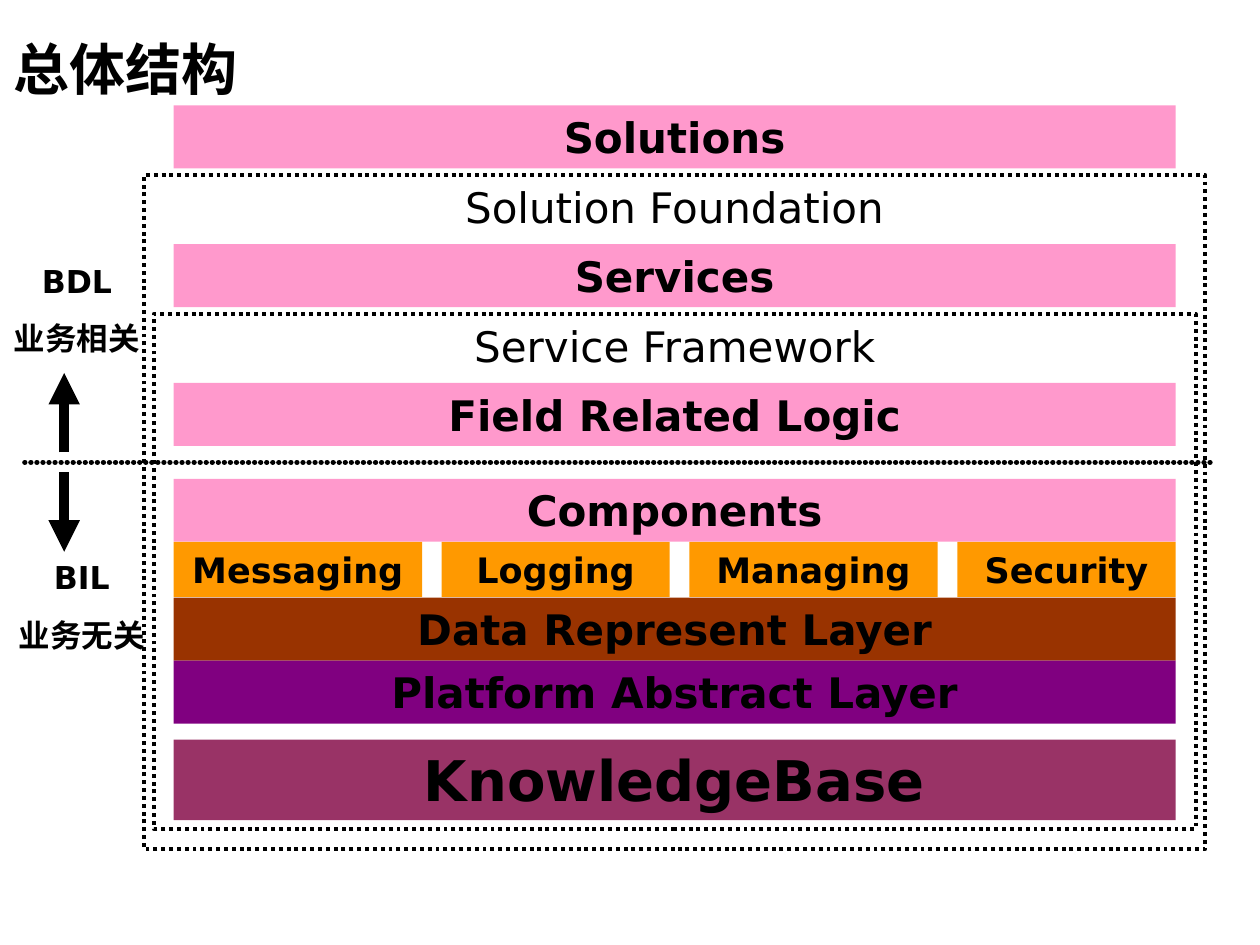
import pptx
import pptx.dml.color
import pptx.enum.dml
import pptx.enum.shapes
import pptx.enum.text
import pptx.oxml
import pptx.oxml.ns
import pptx.util

Pt = pptx.util.Pt
ALIGN = pptx.enum.text.PP_ALIGN
ANCHOR = pptx.enum.text.MSO_ANCHOR
RECTANGLE = pptx.enum.shapes.MSO_SHAPE.RECTANGLE
STRAIGHT = pptx.enum.shapes.MSO_CONNECTOR.STRAIGHT

BLACK, PINK, ORANGE = "000000", "FF99CC", "FF9900"
BODY_FONT = "DejaVu Sans"

# text, top, height, fill, size
LAYERS = [
    ("Solutions", 60.2, 36, PINK, 24),
    ("Services", 139.5, 36, PINK, 24),
    ("Field Related Logic", 218.8, 36, PINK, 24),
    ("Components", 273.6, 36, PINK, 24),
    ("Data Represent Layer", 341.5, 36, "993300", 24),
    ("Platform Abstract Layer", 377.5, 36, "800080", 24),
    ("KnowledgeBase", 422.7, 46, "993366", 32),
]
COMPONENTS = [("Messaging", 142), ("Logging", 130.4), ("Managing", 142), ("Security", 124.8)]


def rgb(value):
    return pptx.dml.color.RGBColor.from_string(value)


def add_xml(parent, fragment):
    """Append an element written without its DrawingML namespace."""
    tag, rest = fragment[1:].replace("/>", " />", 1).split(" ", 1)
    declaration = pptx.oxml.ns.nsdecls("a")
    parent.append(pptx.oxml.parse_xml(f"<{tag} {declaration} {rest}"))


def write(text_frame, lines, size, bold=True, font=BODY_FONT, align=ALIGN.CENTER, space=0):
    for index, line in enumerate(lines):
        paragraph = text_frame.paragraphs[0] if index == 0 else text_frame.add_paragraph()
        paragraph.text = line
        paragraph.alignment = align
        paragraph.space_before = Pt(space if index else 0)
        for name, value in {"name": font, "size": Pt(size), "bold": bold}.items():
            setattr(paragraph.font, name, value)
        paragraph.font.color.rgb = rgb(BLACK)


def add_title(slide, left, top, width, height):
    title = slide.shapes.title
    box = {"left": left, "top": top, "width": width, "height": height}
    for name, value in box.items():
        setattr(title, name, Pt(value))
    title.text_frame.vertical_anchor = ANCHOR.MIDDLE
    write(title.text_frame, ["总体结构"], 32, font="Times New Roman", align=ALIGN.LEFT)


def add_rectangle(slide, left, top, width, height):
    shape = slide.shapes.add_shape(RECTANGLE, Pt(left), Pt(top), Pt(width), Pt(height))
    shape.shadow.inherit = False
    shape.text_frame.vertical_anchor = ANCHOR.TOP
    return shape


def add_frame(slide, text, left, top, width, height):
    shape = add_rectangle(slide, left, top, width, height)
    shape.fill.background()
    shape.line.color.rgb = rgb(BLACK)
    shape.line.width = Pt(2.25)
    shape.line.dash_style = pptx.enum.dml.MSO_LINE.ROUND_DOT
    shape.text_frame.word_wrap = False
    write(shape.text_frame, [text], 24, bold=False)


def add_bar(slide, text, left, top, width, height, fill, size):
    shape = add_rectangle(slide, left, top, width, height)
    shape.fill.solid()
    shape.fill.fore_color.rgb = rgb(fill)
    shape.line.fill.background()
    write(shape.text_frame, [text], size)


def add_layers(slide, left, width):
    for text, top, height, fill, size in LAYERS:
        add_bar(slide, text, left, top, width, height, fill, size)


def add_components(slide, left, top, width, height):
    gap = (width - sum(part for _, part in COMPONENTS)) / (len(COMPONENTS) - 1)
    for text, part in COMPONENTS:
        add_bar(slide, text, left, top, part, height, ORANGE, 20)
        left += part + gap


def add_line(slide, start, end, width):
    line = slide.shapes.add_connector(STRAIGHT, *(Pt(value) for value in start + end))
    line.line.color.rgb = rgb(BLACK)
    line.line.width = Pt(width)
    add_xml(line._element.spPr, "<a:effectLst/>")
    return line.line._get_or_add_ln()


def add_divider(slide, left, y, width):
    """Draw the dotted line with an arrow pointing away on each side."""
    outline = add_line(slide, (left, y), (left + width, y), 3)
    outline.set("cap", "rnd")
    add_xml(outline, '<a:custDash ><a:ds d="100000" sp="15000"/></a:custDash>')
    arrow_x, gap, length = left + 22.5, 5.7, 45.4
    for direction in (-1, 1):
        start = y + direction * gap
        outline = add_line(slide, (arrow_x, start), (arrow_x, start + direction * length), 6)
        add_xml(outline, '<a:tailEnd type="triangle"/>')


def add_side_label(slide, lines, left, top, width, height):
    label = slide.shapes.add_textbox(Pt(left), Pt(top), Pt(width), Pt(height))
    label.text_frame.word_wrap = True
    write(label.text_frame, lines, 18, space=11.2)


def main():
    presentation = pptx.Presentation()
    presentation.slide_width, presentation.slide_height = Pt(720), Pt(540)
    slide = presentation.slides.add_slide(presentation.slide_layouts[5])
    left, width = 99.2, 572.6

    add_title(slide, 0.7, 5.8, 473, 66.2)
    add_frame(slide, "Solution Foundation", 82.2, 100, 606.6, 385.2)
    add_frame(slide, "Service Framework", 87.9, 179.4, 595.4, 294.3)
    add_layers(slide, left, width)
    add_components(slide, left, 309.6, width, 31.5)
    add_divider(slide, 14.2, 264.2, 680.6)
    add_side_label(slide, ["BDL", "业务相关"], 0, 146.2, 87.9, 62)
    add_side_label(slide, ["BIL", "业务无关"], 0, 315.4, 93.6, 62)

    presentation.save("out.pptx")


if __name__ == "__main__":
    main()
